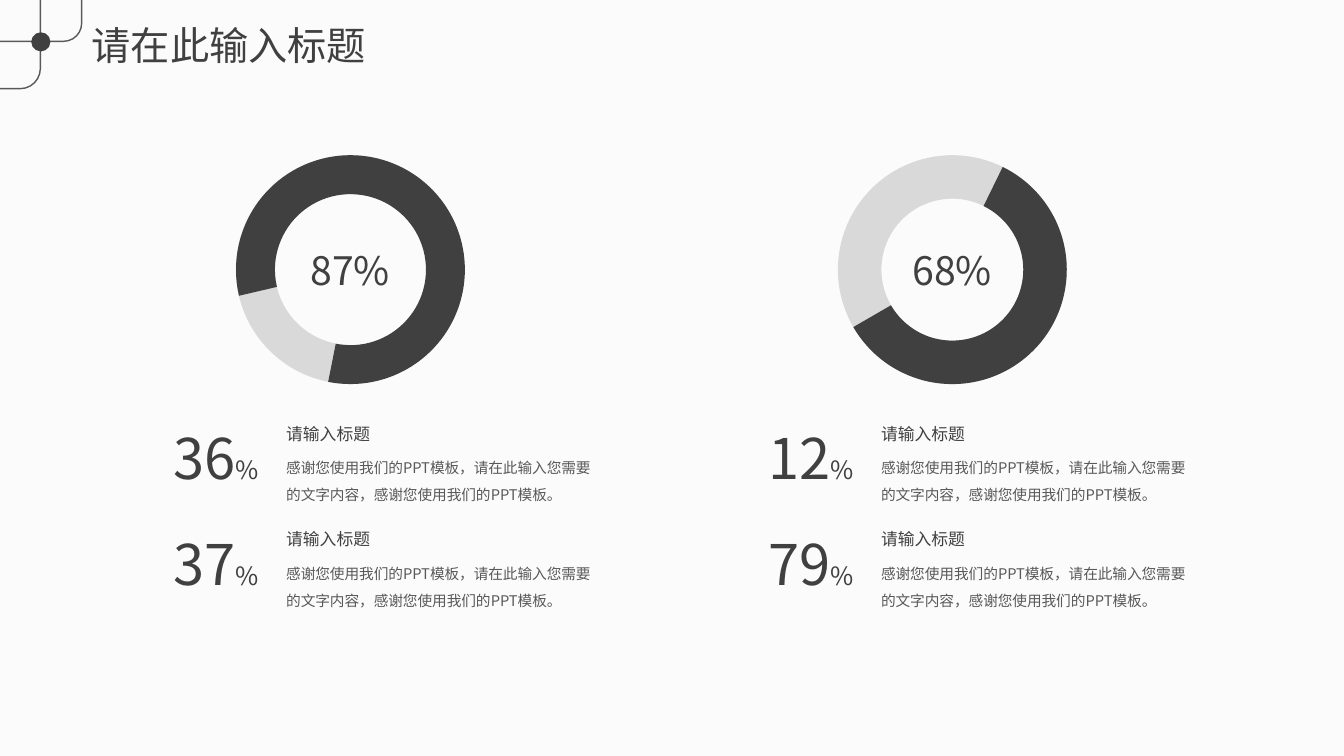
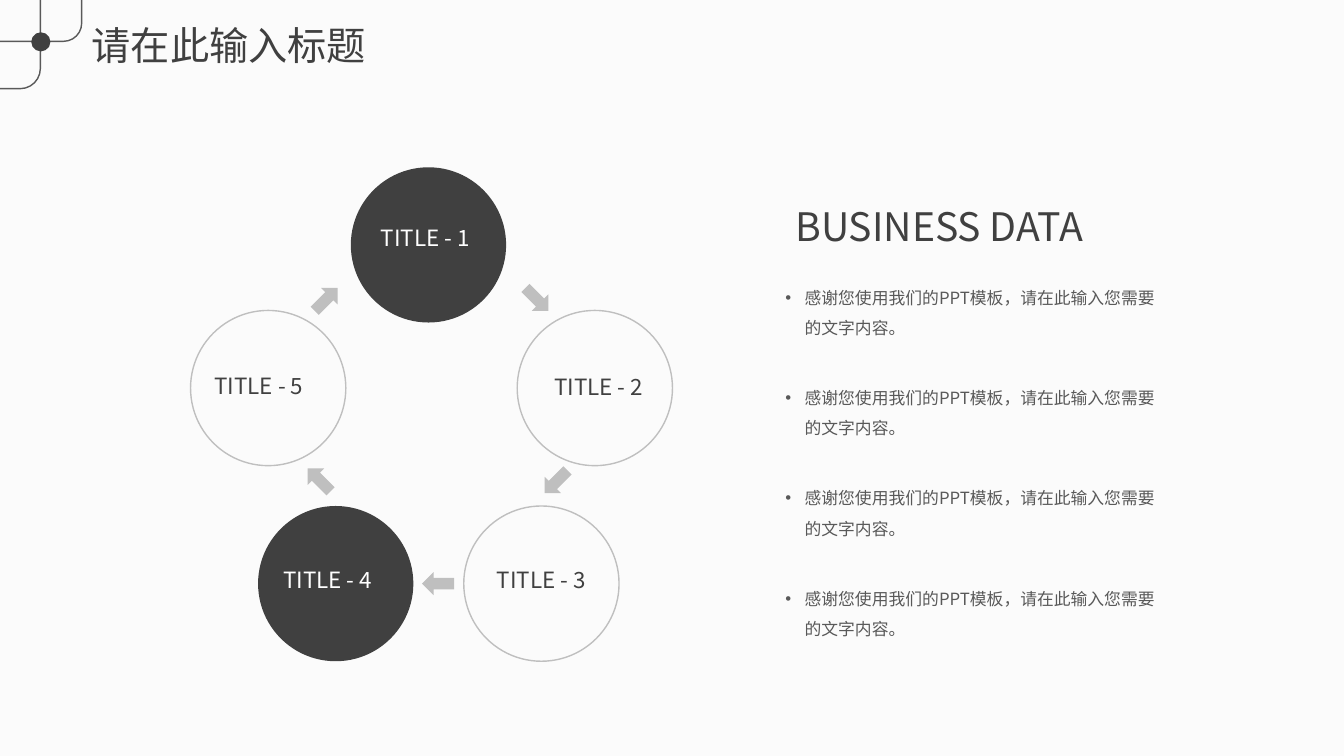
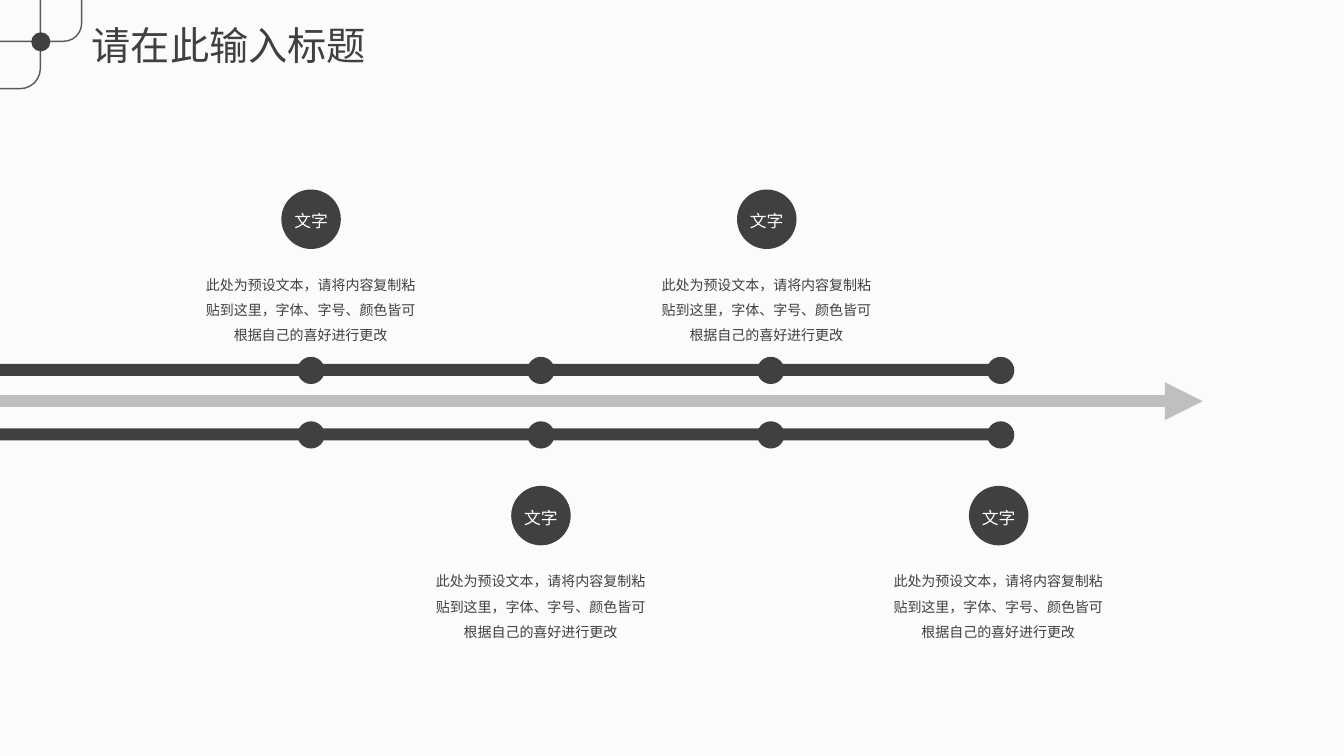
from lxml import etree
from pptx import Presentation
from pptx import util as u
from pptx.dml.color import RGBColor
from pptx.enum import shapes, text
from pptx.oxml.ns import qn

DARK = RGBColor(0x40, 0x40, 0x40)
GREY = RGBColor(0x59, 0x59, 0x59)
MID = RGBColor(0xBF, 0xBF, 0xBF)
LIGHT = RGBColor(0xD9, 0xD9, 0xD9)
PAPER = RGBColor(0xFB, 0xFB, 0xFB)
WHITE = RGBColor(0xFF, 0xFF, 0xFF)
FACE = "Noto Sans CJK SC"
WIDE, HIGH = 13.33, 7.5
KIND = shapes.MSO_SHAPE
ALIGN = text.PP_ALIGN
FIT = text.MSO_AUTO_SIZE

TITLE = "请在此输入标题"
HEAD = "请输入标题"
POINT = "感谢您使用我们的PPT模板，请在此输入您需要的文字内容。"
DETAIL = "感谢您使用我们的PPT模板，请在此输入您需要的文字内容，感谢您使用我们的PPT模板。"
STORY = "此处为预设文本，请将内容复制粘贴到这里，字体、字号、颜色皆可根据自己的喜好进行更改"


def inch(*sizes):
    return [u.Inches(size) for size in sizes]


def style(para, size, color, align=None, gap=None):
    """Format a whole paragraph, East Asian face included."""
    para.alignment = align
    para.line_spacing = gap
    font = para.font
    font.size, font.name, font.color.rgb = u.Pt(size), FACE, color
    base = para._p.pPr.find(qn("a:defRPr"))
    etree.SubElement(base, qn("a:ea"), typeface=FACE)


def shape(slide, kind, box, fill=None, line=None, turn=0):
    item = slide.shapes.add_shape(kind, *inch(*box))
    item.shadow.inherit = False
    item.rotation = turn
    if fill is None:
        item.fill.background()
    else:
        item.fill.solid()
        item.fill.fore_color.rgb = fill
    if line is None:
        item.line.fill.background()
    else:
        item.line.color.rgb = line
        item.line.width = u.Pt(1)
    return item


def label(slide, box, words, size, color, align=None, gap=None, wrap=True):
    frame = slide.shapes.add_textbox(*inch(*box)).text_frame
    frame.word_wrap = wrap
    frame.auto_size = FIT.SHAPE_TO_FIT_TEXT
    para = frame.paragraphs[0]
    para.text = words
    style(para, size, color, align, gap)
    return para


def dress(master, slide):
    """Set the master's ground, title place and corner motif."""
    ground = master.background.fill
    ground.solid()
    ground.fore_color.rgb = PAPER
    title = master.placeholders[0]
    title.left, title.top, title.width, title.height = inch(0.81, 0.16, 3.1, 0.57)
    motif = [shape(slide, KIND.ROUNDED_RECTANGLE, box, line=GREY)
             for box in ((-1.37, -0.45, 1.77, 1.33), (-0.64, -0.37, 1.45, 0.78))]
    for item, bend in zip(motif, (0.15, 0.23)):
        item.adjustments[0] = bend
    motif.append(shape(slide, KIND.OVAL, (0.31, 0.32, 0.19, 0.19), DARK))
    for item in motif:
        master.shapes.element.append(item.element)


def entitle(slide):
    frame = slide.shapes.title.text_frame
    frame.text = TITLE
    frame.auto_size = FIT.NONE
    frame.vertical_anchor = text.MSO_ANCHOR.TOP
    style(frame.paragraphs[0], 28, DARK, ALIGN.JUSTIFY)


def ring(slide, x, y, share, arcs, end, thick):
    """Draw arcs (colour, turn, start); angles in degrees."""
    for color, turn, start in arcs:
        arc = shape(slide, KIND.BLOCK_ARC, (x, y, 2.27, 2.27), color, turn=turn)
        # Adjustments count 100000ths, angles 60000ths of a degree
        for i, value in enumerate((start * 0.6, end * 0.6, thick)):
            arc.adjustments[i] = value
    label(slide, (x + 0.64, y + 0.85, 1, 0.57), share, 28, DARK, wrap=False)


def stat(slide, x, y, number):
    label(slide, (x + 1.12, y, 1.26, 0.3), HEAD, 12, DARK, ALIGN.JUSTIFY)
    label(slide, (x + 1.12, y + 0.27, 3.29, 0.61), DETAIL, 10.5, GREY, gap=1.5)
    para = label(slide, (x, y, 1.1, 0.77), number, 40, DARK, wrap=False)
    sign = para.add_run()
    sign.text = "%"
    sign.font.size = u.Pt(18)


def rings(slide):
    ring(slide, 2.34, 1.54, "87%", ((LIGHT, 34, 57.62), (DARK, 154.5, 12.29)),
         306.73, 0.17)
    ring(slide, 8.31, 1.54, "68%", ((LIGHT, 123.2, 358.27), (DARK, 168.5, 127.63)),
         341.37, 0.19)
    for x, column in ((1.62, ("36", "37")), (7.52, ("12", "79"))):
        for row, number in enumerate(column):
            stat(slide, x, 4.15 + 1.05 * row, number)


def cycle(slide, x, y):
    spots = ((1.59, 0, 0.2, 0.51, True), (3.24, 1.42, 0.27, 0.57, False),
             (2.71, 3.36, 0.23, 0.55, False), (0.67, 3.36, 0.15, 0.55, True),
             (0, 1.42, 0.14, 0.56, False))
    for i, (dx, dy, tx, ty, full) in enumerate(spots, 1):
        left, top = x + dx, y + dy
        shape(slide, KIND.OVAL, (left, top, 1.54, 1.54),
              DARK if full else None, None if full else MID)
        label(slide, (left + tx, top + ty, 1.14, 0.37), f"TITLE - {i}", 16,
              WHITE if full else DARK, wrap=False)
    for dx, dy, turn in ((1.23, 1.15, 45), (3.32, 1.15, 135), (3.51, 2.96, 225),
                         (2.34, 3.97, 270), (1.16, 2.94, 315)):
        shape(slide, KIND.UP_ARROW, (x + dx, y + dy, 0.23, 0.32), MID, turn=turn)


def points(slide, x, y):
    label(slide, (x + 0.1, y, 3.29, 0.57), "BUSINESS DATA", 28, DARK, wrap=False)
    body = slide.placeholders[1]
    body.left, body.top, body.width, body.height = inch(x, y + 0.74, 3.91, 3.64)
    frame = body.text_frame
    frame.auto_size = FIT.NONE
    frame.text = "\n".join([POINT] * 4)
    for i, para in enumerate(frame.paragraphs):
        para.space_before = u.Pt(28.5 if i else 0)
        para.line_spacing = 1.5
        props = para._p.get_or_add_pPr()
        props.set("marL", str(u.Inches(0.19)))
        props.set("indent", str(u.Inches(-0.19)))
        etree.SubElement(props, qn("a:buFont"), typeface="Arial")
        etree.SubElement(props, qn("a:buChar"), char="•")
        style(para, 12, GREY, ALIGN.LEFT, 1.5)


def arrow(slide, y, end):
    line = slide.shapes.add_connector(shapes.MSO_CONNECTOR.STRAIGHT,
                                      *inch(0, y, end, y))
    line.line.color.rgb = MID
    line.line.width = u.Pt(9)
    etree.SubElement(line.line._get_or_add_ln(), qn("a:tailEnd"), type="triangle")
    etree.SubElement(line.element.spPr, qn("a:effectLst"))


def track(slide, y, stops):
    """Draw a bar from the left edge through all the stops."""
    for i, stop in enumerate(stops):
        left, width = (stops[i - 1], 2.24) if i else (0, stop)
        shape(slide, KIND.RECTANGLE, (left, y + 0.07, width, 0.12), DARK)
        shape(slide, KIND.OVAL, (stop - 0.13, y, 0.27, 0.27), DARK)


def event(slide, x, y):
    badge = shape(slide, KIND.OVAL, (x - 0.29, y, 0.59, 0.59), DARK)
    frame = badge.text_frame
    frame.margin_left = frame.margin_right = 0
    frame.margin_top = frame.margin_bottom = 0
    frame.vertical_anchor = text.MSO_ANCHOR.MIDDLE
    frame.text = "文字"
    style(frame.paragraphs[0], 12, WHITE, ALIGN.CENTER, 1.2)
    label(slide, (x - 1.14, y + 0.73, 2.28, 0.82), STORY, 10, DARK,
          ALIGN.CENTER, 1.5)


def road(slide):
    stops = [3.08 + 2.28 * i for i in range(4)]
    arrow(slide, 3.98, 11.93)
    for y in (3.54, 4.18):
        track(slide, y, stops)
    for y, row in ((1.88, (3.08, 7.6)), (4.82, (5.36, 9.9))):
        for x in row:
            event(slide, x, y)


def main():
    deck = Presentation()
    deck.slide_width, deck.slide_height = inch(WIDE, HIGH)
    plain, listed = deck.slide_layouts[5], deck.slide_layouts[1]
    first, second, third = [deck.slides.add_slide(layout)
                            for layout in (plain, listed, plain)]
    dress(deck.slide_master, first)
    for slide in (first, second, third):
        entitle(slide)
    rings(first)
    cycle(second, 1.89, 1.66)
    points(second, 7.69, 1.96)
    road(third)
    deck.save("out.pptx")


if __name__ == "__main__":
    main()
